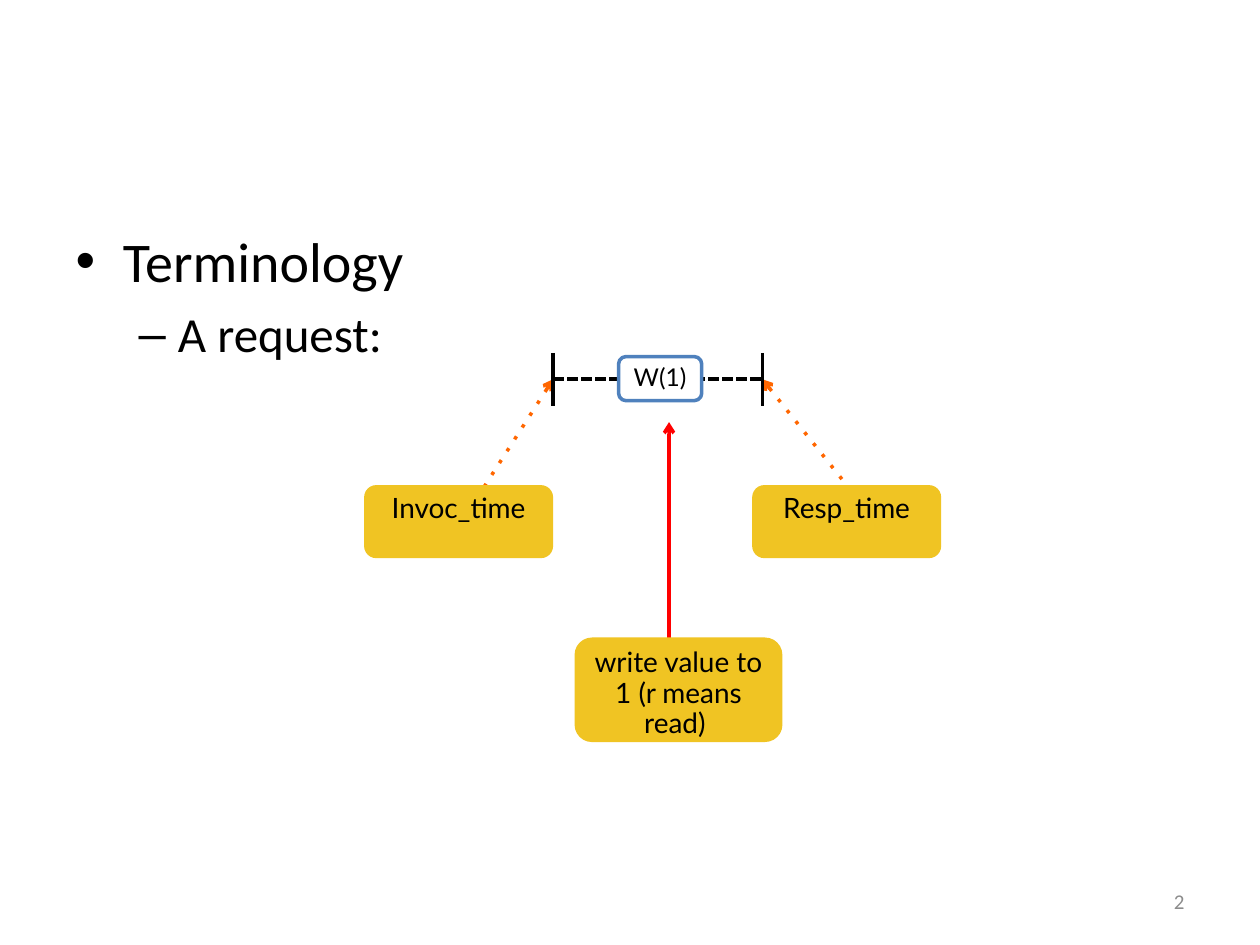
from lxml import etree
from pptx import Presentation
from pptx.dml.color import RGBColor
from pptx.enum.dml import MSO_LINE
from pptx.enum.shapes import MSO_CONNECTOR, MSO_SHAPE
from pptx.enum.text import MSO_ANCHOR, PP_ALIGN
from pptx.oxml.ns import qn
from pptx.util import Inches, Pt

COLORS = {
    "black": "000000", "white": "FFFFFF", "yellow": "F0C423", "orange": "FF6600",
    "red": "FF0000", "blue": "4F81BD", "gray": "8C8C8C",
}


def style_font(font, name, size, color):
    font.name = name
    font.size = Pt(size)
    font.color.rgb = RGBColor.from_string(COLORS[color])


def add_box(text, left, top, width, height, fill, size, border=None):
    box = slide.shapes.add_shape(
        MSO_SHAPE.ROUNDED_RECTANGLE,
        Inches(left), Inches(top), Inches(width), Inches(height))
    box.shadow.inherit = False
    box.fill.solid()
    box.fill.fore_color.rgb = RGBColor.from_string(COLORS[fill])
    if border:
        box.line.color.rgb = RGBColor.from_string(COLORS[border])
        box.line.width = Pt(2)
    else:
        box.line.fill.background()
    frame = box.text_frame
    frame.word_wrap = True
    frame.vertical_anchor = MSO_ANCHOR.TOP
    paragraph = frame.paragraphs[0]
    paragraph.alignment = PP_ALIGN.CENTER
    paragraph.line_spacing = 0.9
    run = paragraph.add_run()
    run.text = text
    style_font(run.font, "Lato", size, "black")


prs = Presentation()
prs.slide_width, prs.slide_height = Inches(10), Inches(7.5)
slide = prs.slides.add_slide(prs.slide_layouts[1])
title = slide.shapes.title
title.element.getparent().remove(title.element)

# Bulleted body
body = slide.placeholders[1]
body.left, body.top, body.width, body.height = map(Inches, (0.5, 1.75, 9, 4.95))
outline = [("Terminology", 32), ("A request:", 28)]
for level, (text, size) in enumerate(outline):
    frame = body.text_frame
    paragraph = frame.add_paragraph() if level else frame.paragraphs[0]
    paragraph.level = level
    run = paragraph.add_run()
    run.text = text
    style_font(run.font, "Calibri", size, "black")

# Timeline with its end bars, and the pointers to it
start, end, axis = 4.39, 6.05, 3.01
lines = [
    ((start, axis), (end, axis), "black", MSO_LINE.SQUARE_DOT, False),
    ((start, axis), (3.8, 3.93), "orange", MSO_LINE.ROUND_DOT, True),
    ((end, axis), (6.72, 3.85), "orange", MSO_LINE.ROUND_DOT, True),
    ((5.31, 3.35), (5.31, 5.06), "red", None, True),
]
lines += [((x, axis - 0.21), (x, axis + 0.21), "black", None, False) for x in (start, end)]
for begin, finish, color, dash, arrow in lines:
    connector = slide.shapes.add_connector(
        MSO_CONNECTOR.STRAIGHT, *map(Inches, begin + finish))
    connector.line.color.rgb = RGBColor.from_string(COLORS[color])
    connector.line.width = Pt(2)
    if dash == MSO_LINE.ROUND_DOT:
        ln = connector.line._get_or_add_ln()
        etree.SubElement(ln, qn("a:prstDash")).set("val", "dot")
    elif dash:
        connector.line.dash_style = dash
    if arrow:
        ln = connector.line._get_or_add_ln()
        etree.SubElement(ln, qn("a:headEnd")).set("type", "arrow")
    etree.SubElement(connector.element.spPr, qn("a:effectLst"))

# Request and its labels
add_box("Invoc_time", 2.89, 3.85, 1.5, 0.58, "yellow", 16)
add_box("Resp_time", 5.97, 3.85, 1.5, 0.58, "yellow", 16)
add_box("W(1)", 4.91, 2.83, 0.66, 0.35, "white", 14, border="blue")
add_box("write value to 1 (r means read) ", 4.56, 5.06, 1.65, 0.83, "yellow", 16)

# Page number
number = slide.shapes.add_textbox(Inches(7.17), Inches(6.95), Inches(2.33), Inches(0.4))
number.text_frame.word_wrap = True
number.text_frame.vertical_anchor = MSO_ANCHOR.MIDDLE
paragraph = number.text_frame.paragraphs[0]
paragraph.alignment = PP_ALIGN.RIGHT
run = paragraph.add_run()
run.text = "2"
style_font(run.font, "Calibri", 12, "gray")

prs.save("out.pptx")
